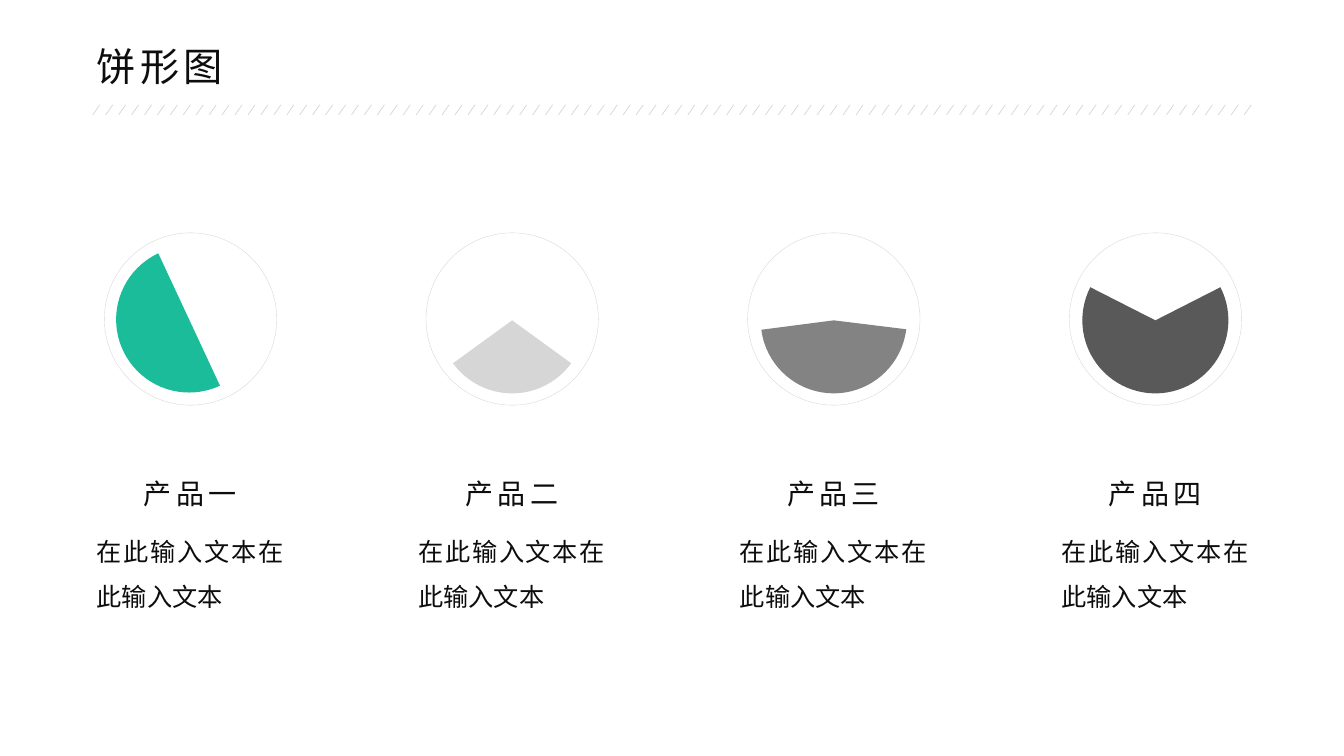
import pptx
import pptx.chart.data
import pptx.dml.color
import pptx.enum.chart
import pptx.enum.shapes
import pptx.enum.text
import pptx.oxml
import pptx.oxml.ns
import pptx.util
from lxml import etree

RGB = pptx.dml.color.RGBColor
INK = RGB(0x0D, 0x0D, 0x0D)
RULE = RGB(0xD6, 0xD6, 0xD6)
GREEN = RGB(0x1B, 0xBC, 0x9A)
MID_GREY = RGB(0x83, 0x83, 0x83)
DARK_GREY = RGB(0x59, 0x59, 0x59)

TITLE = "饼形图"
BODY = "在此输入文本在此输入文本"
# label, share, rest, start angle, slice colour
PRODUCTS = [
    ("产品一", 50, 50, 155, GREEN),
    ("产品二", 30, 70, 126, RULE),
    ("产品三", 46, 54, 97, MID_GREY),
    ("产品四", 65, 35, 63, DARK_GREY),
]

FONT = "Arial"
LEFT = 0.86
FIRST_CENTRE, PITCH = 1.89, 3.19
PIE_MIDDLE, PIE_SIZE, RING_SIZE = 3.165, 1.76, 1.71
PLOT_SHARE, EXPLOSION = 0.84, 2
LABEL_TOP, LABEL_W, LABEL_H = 4.51, 1.17, 0.55
BODY_TOP, BODY_W, BODY_H = 5.12, 2.05, 0.96
HATCH_COUNT, HATCH_FIRST, HATCH_LAST = 90, 0.99, 12.41
HATCH_TOP, HATCH_BOTTOM, HATCH_SLANT = 1.04, 1.14, 0.07

inch = pptx.util.Inches
qn = pptx.oxml.ns.qn


def write(sp, text, size, spacing=None, line=None, wrap=False, justify=False):
    tf = sp.text_frame
    tf.word_wrap = wrap
    tf.auto_size = pptx.enum.text.MSO_AUTO_SIZE.SHAPE_TO_FIT_TEXT
    tf.vertical_anchor = pptx.enum.text.MSO_ANCHOR.TOP
    p = tf.paragraphs[0]
    align = pptx.enum.text.PP_ALIGN
    p.alignment = align.JUSTIFY if justify else align.LEFT
    if line:
        p.line_spacing = line
    r = p.add_run()
    r.text = text
    r.font.name = FONT
    r.font.size = pptx.util.Pt(size)
    r.font.color.rgb = INK
    if spacing:
        r.font._element.set("spc", str(spacing * 100))


def add_text(s, left, top, width, height, text, size, **fmt):
    box = s.shapes.add_textbox(inch(left), inch(top), inch(width), inch(height))
    write(box, text, size, **fmt)


def add_pie(s, centre, share, rest, start, colour):
    data = pptx.chart.data.CategoryChartData()
    data.categories = ["1", "2"]
    data.add_series("Series 1", (share, rest))
    chart = s.shapes.add_chart(
        pptx.enum.chart.XL_CHART_TYPE.PIE,
        inch(centre - PIE_SIZE / 2), inch(PIE_MIDDLE - PIE_SIZE / 2),
        inch(PIE_SIZE), inch(PIE_SIZE), data).chart
    chart.has_legend = False
    chart.has_title = False
    chart.font.name = FONT
    chart.font.size = pptx.util.Pt(10)
    chart.font.color.rgb = INK

    series = chart.plots[0].series[0]
    for i, point in enumerate(series.points):
        point.format.line.fill.background()
        if i == 0:
            point.format.fill.solid()
            point.format.fill.fore_color.rgb = colour
        else:
            point.format.fill.background()
    explosion = etree.Element(qn("c:explosion"), val=str(EXPLOSION))
    series._element.find(qn("c:dPt")).addprevious(explosion)

    plot_area = chart._chartSpace.chart.plotArea
    etree.SubElement(plot_area.find(qn("c:pieChart")),
                     qn("c:firstSliceAng"), val=str(start))
    layout = plot_area.find(qn("c:layout"))
    if layout is None:
        layout = etree.Element(qn("c:layout"))
        plot_area.insert(0, layout)
    manual = etree.SubElement(layout, qn("c:manualLayout"))
    margin = (1 - PLOT_SHARE) / 2
    for tag, val in (("layoutTarget", "inner"), ("xMode", "edge"),
                     ("yMode", "edge"), ("x", margin), ("y", margin),
                     ("w", PLOT_SHARE), ("h", PLOT_SHARE)):
        etree.SubElement(manual, qn("c:" + tag),
                         val=val if isinstance(val, str) else f"{val:.2f}")


def add_ring(s, centre):
    ring = s.shapes.add_shape(
        pptx.enum.shapes.MSO_SHAPE.OVAL,
        inch(centre - RING_SIZE / 2), inch(PIE_MIDDLE - RING_SIZE / 2),
        inch(RING_SIZE), inch(RING_SIZE))
    ring.shadow.inherit = False
    ring.fill.background()
    ring.line.color.rgb = RULE
    ring.line.width = pptx.util.Pt(0.25)


def add_hatching(s):
    """Row of short slanted strokes under the title."""
    group = s.shapes.add_group_shape()
    step = (HATCH_LAST - HATCH_FIRST) / (HATCH_COUNT - 1)
    for i in range(HATCH_COUNT):
        x = HATCH_FIRST + i * step
        stroke = group.shapes.add_connector(
            pptx.enum.shapes.MSO_CONNECTOR.STRAIGHT,
            inch(x), inch(HATCH_TOP), inch(x - HATCH_SLANT), inch(HATCH_BOTTOM))
        stroke.line.color.rgb = RULE
        stroke.line.width = pptx.util.Pt(0.5)
        etree.SubElement(stroke._element.spPr, qn("a:effectLst"))


def main():
    prs = pptx.Presentation()
    prs.slide_width, prs.slide_height = inch(13.33), inch(7.5)
    s = prs.slides.add_slide(prs.slide_layouts[5])

    title = s.shapes.title
    title.left, title.top = inch(LEFT), inch(0.37)
    title.width, title.height = inch(1.51), inch(0.57)
    write(title, TITLE, 28, spacing=3)
    add_hatching(s)

    for i, (label, share, rest, start, colour) in enumerate(PRODUCTS):
        centre = FIRST_CENTRE + i * PITCH
        add_pie(s, centre, share, rest, start, colour)
        add_ring(s, centre)
        add_text(s, centre - 0.56, LABEL_TOP, LABEL_W, LABEL_H, label, 20,
                 spacing=3, line=1.5)
        add_text(s, LEFT + i * PITCH, BODY_TOP, BODY_W, BODY_H, BODY, 18,
                 line=1.5, wrap=True, justify=True)

    prs.save("out.pptx")


if __name__ == "__main__":
    main()
